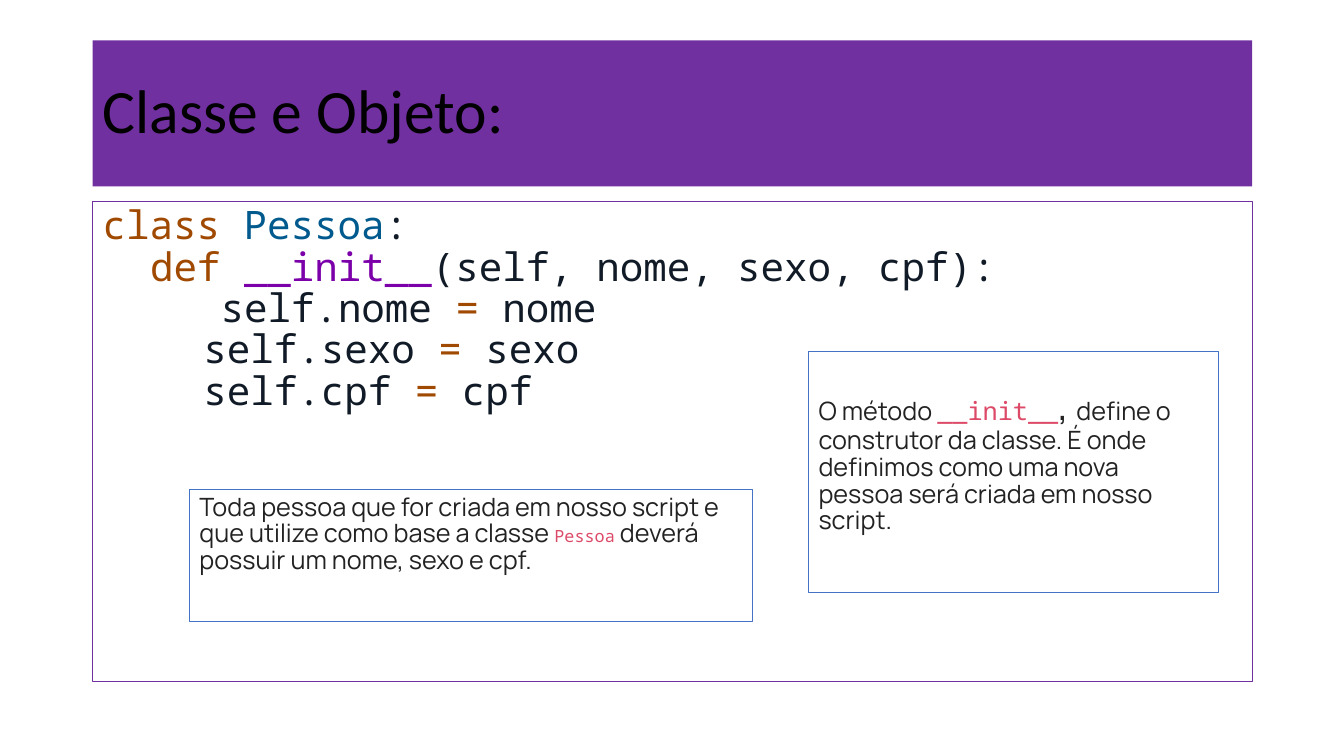
import pptx
import pptx.util
import pptx.dml.color
import pptx.enum.shapes
import pptx.enum.text

Inches = pptx.util.Inches
COLORS = {
    "purple": "7030A0", "black": "000000", "blue": "4472C4",
    "keyword": "A04900", "class": "005A8E", "method": "7C00AA",
    "code": "111B27", "body": "222222", "pink": "DD4A68",
}
SANS, MONO, TITLE = "Manrope", "Noto Sans Mono", "Calibri"


def rgb(name):
    return pptx.dml.color.RGBColor.from_string(COLORS[name])


def add_box(s, left, top, width, height, fill=None, line=None):
    sp = s.shapes.add_shape(pptx.enum.shapes.MSO_SHAPE.RECTANGLE, Inches(left),
                            Inches(top), Inches(width), Inches(height))
    sp.shadow.inherit = False
    if fill:
        sp.fill.solid()
        sp.fill.fore_color.rgb = rgb(fill)
    else:
        sp.fill.background()
    if line:
        sp.line.color.rgb = rgb(line)
        sp.line.width = pptx.util.Pt(0.75)
    else:
        sp.line.fill.background()
    tf = sp.text_frame
    tf.word_wrap = True
    tf.vertical_anchor = pptx.enum.text.MSO_ANCHOR.TOP
    return tf


def add_runs(p, runs, spacing=None, indent=0):
    p.alignment = pptx.enum.text.PP_ALIGN.LEFT
    if spacing:
        p.line_spacing = spacing
    if indent:
        pPr = p._p.get_or_add_pPr()
        pPr.set("marL", str(Inches(indent)))
        pPr.set("indent", "0")
    for text, size, font, color in runs:
        r = p.add_run()
        r.text = text
        r.font.size = pptx.util.Pt(size)
        r.font.name = font
        r.font.color.rgb = rgb(color)


def add_title(s, text):
    tf = add_box(s, 0.92, 0.4, 11.5, 1.45, fill="purple")
    tf.vertical_anchor = pptx.enum.text.MSO_ANCHOR.MIDDLE
    add_runs(tf.paragraphs[0], [(text, 44, TITLE, "black")], 0.9)


def add_code(s, lines):
    tf = add_box(s, 0.92, 2, 11.5, 4.76, line="purple")
    for i, (indent, tokens) in enumerate(lines):
        p = tf.paragraphs[0] if i == 0 else tf.add_paragraph()
        add_runs(p, [(text, 28, MONO, color) for text, color in tokens],
                 0.88, indent)


def add_note(s, box, runs, space_before=0):
    tf = add_box(s, *box, line="blue")
    p = tf.paragraphs[0]
    add_runs(p, runs, 0.88)
    if space_before:
        tf.margin_top = Inches(0.05 + space_before)


def assignment(name, indent):
    return indent, [(f"self.{name} ", "code"), ("=", "keyword"), (f" {name}", "code")]


def main():
    prs = pptx.Presentation()
    prs.slide_width, prs.slide_height = Inches(13.33), Inches(7.5)
    s = prs.slides.add_slide(prs.slide_layouts[6])

    add_title(s, "Classe e Objeto:")
    add_code(s, [
        (0, [("class ", "keyword"), ("Pessoa", "class"), (":", "code")]),
        (0.47, [("def ", "keyword"), ("__init__", "method"),
                ("(self, nome, sexo, cpf):", "code")]),
        assignment("nome", 1.17),
        assignment("sexo", 1),
        assignment("cpf", 1),
    ])
    add_note(s, (8.02, 3.49, 4.07, 2.39), [
        ("O método ", 18, SANS, "body"),
        ("__init__", 18, MONO, "pink"),
        (", ", 28, SANS, "body"),
        ("define o construtor da classe. É onde definimos como uma nova "
         "pessoa será criada em nosso script.", 18, SANS, "body"),
    ], space_before=0.3)
    add_note(s, (1.88, 4.86, 5.58, 1.31), [
        ("Toda pessoa que for criada em nosso script e que utilize como "
         "base a classe\u00a0", 18, SANS, "body"),
        ("Pessoa", 12, MONO, "pink"),
        ("\u00a0deverá possuir um nome, sexo e cpf.", 18, SANS, "body"),
    ])

    prs.save("out.pptx")


if __name__ == "__main__":
    main()
